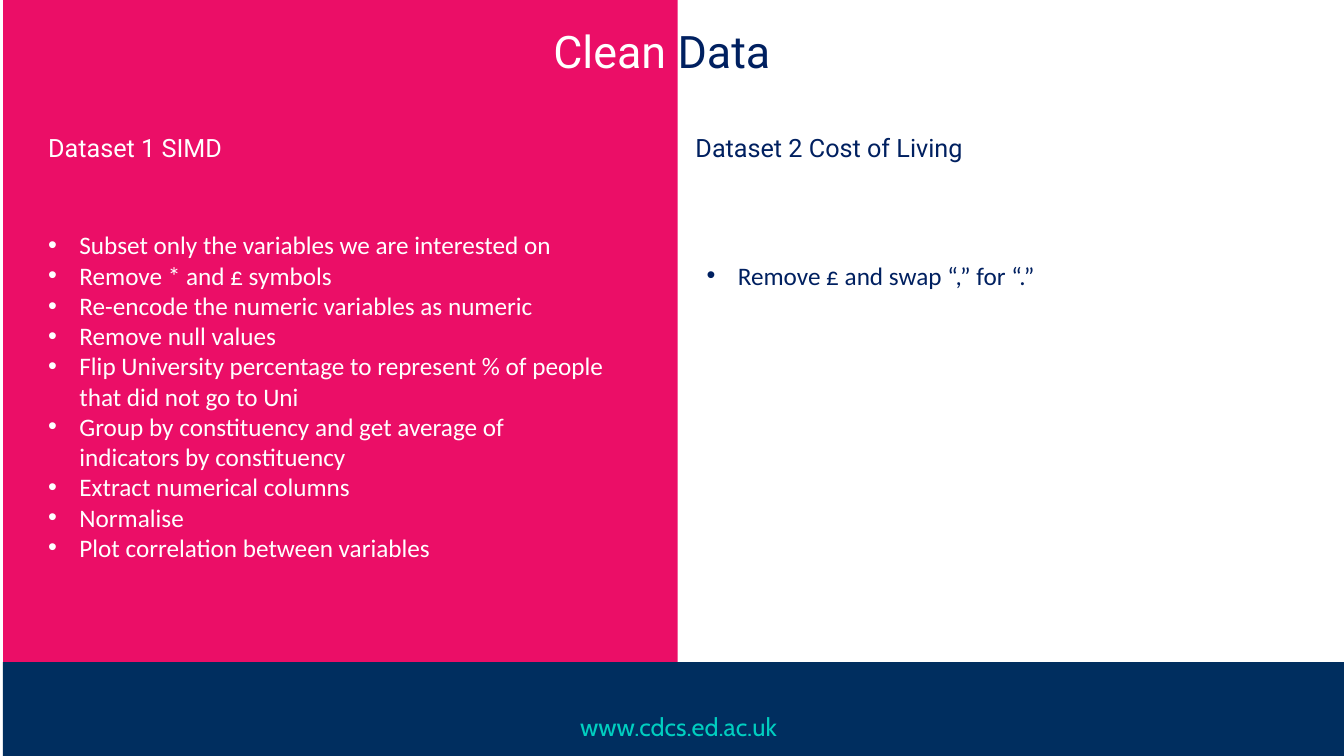
from pptx import Presentation
from pptx.dml.color import RGBColor
from pptx.enum.shapes import MSO_SHAPE
from pptx.enum.text import MSO_AUTO_SIZE, PP_ALIGN
from pptx.oxml.ns import qn
from pptx.util import Inches, Pt
from lxml import etree

PINK, NAVY, WHITE = "EB0E67", "002060", "FFFFFF"
FOOTER_BLUE, TEAL = "002E5F", "00CEC0"

SIMD_STEPS = [
    "Subset only the variables we are interested on",
    "Remove * and £ symbols",
    "Re-encode the numeric variables as numeric",
    "Remove null values",
    "Flip University percentage to represent % of people that did not go to Uni",
    "Group by constituency and get average of indicators by constituency",
    "Extract numerical columns",
    "Normalise",
    "Plot correlation between variables",
]
COST_STEPS = ["Remove £ and swap “,” for “.”"]


def rgb(color):
    return RGBColor.from_string(color)


def add_panel(s, left, top, width, height, color):
    sp = s.shapes.add_shape(MSO_SHAPE.RECTANGLE, Inches(left), Inches(top),
                            Inches(width), Inches(height))
    sp.shadow.inherit = False
    sp.fill.solid()
    sp.fill.fore_color.rgb = rgb(color)
    sp.line.fill.background()


def add_text_frame(s, left, top, width, height):
    box = s.shapes.add_textbox(Inches(left), Inches(top), Inches(width), Inches(height))
    tf = box.text_frame
    tf.word_wrap = True
    tf.auto_size = MSO_AUTO_SIZE.SHAPE_TO_FIT_TEXT
    return tf


def add_run(p, text, font, color, size=18):
    r = p.add_run()
    r.text = text
    r.font.name = font
    r.font.size = Pt(size)
    r.font.color.rgb = rgb(color)


def add_line(s, left, top, width, height, runs, font, size=18, align=PP_ALIGN.LEFT):
    """Add one paragraph made of (text, color) runs."""
    p = add_text_frame(s, left, top, width, height).paragraphs[0]
    p.alignment = align
    for text, color in runs:
        add_run(p, text, font, color, size)


def set_bullet(p):
    pPr = p._p.get_or_add_pPr()
    indent = Inches(0.31)
    pPr.set("marL", str(indent))
    pPr.set("indent", str(-indent))
    etree.SubElement(pPr, qn("a:buFont"), typeface="Arial")
    etree.SubElement(pPr, qn("a:buChar"), char="•")


def add_bullets(s, left, top, width, height, items, color):
    tf = add_text_frame(s, left, top, width, height)
    for i, item in enumerate(items):
        p = tf.add_paragraph() if i else tf.paragraphs[0]
        set_bullet(p)
        add_run(p, item, "Calibri", color)


def main():
    prs = Presentation()
    prs.slide_width, prs.slide_height = Inches(13.33), Inches(7.5)
    s = prs.slides.add_slide(prs.slide_layouts[6])

    add_panel(s, 0.03, 0, 6.69, 7.5, PINK)
    add_line(s, -0.04, 0.19, 13.21, 0.64, [("Clean", WHITE), (" Data", NAVY)],
             "Roboto", 32, PP_ALIGN.CENTER)
    add_panel(s, 0.03, 6.57, 13.33, 0.93, FOOTER_BLUE)
    add_line(s, 5.15, 7.01, 3.16, 0.4, [("www.cdcs.ed.ac.uk", TEAL)],
             "Cabin", align=PP_ALIGN.CENTER)

    add_line(s, 6.8, 1.26, 5.13, 0.4, [("Dataset 2 Cost of Living", NAVY)], "Roboto")
    add_bullets(s, 6.91, 2.53, 5.74, 0.4, COST_STEPS, NAVY)
    add_line(s, 0.38, 1.26, 5.13, 0.4, [("Dataset 1 SIMD", WHITE)], "Roboto")
    add_bullets(s, 0.38, 2.23, 5.74, 3.74, SIMD_STEPS, WHITE)

    prs.save("out.pptx")


if __name__ == "__main__":
    main()
